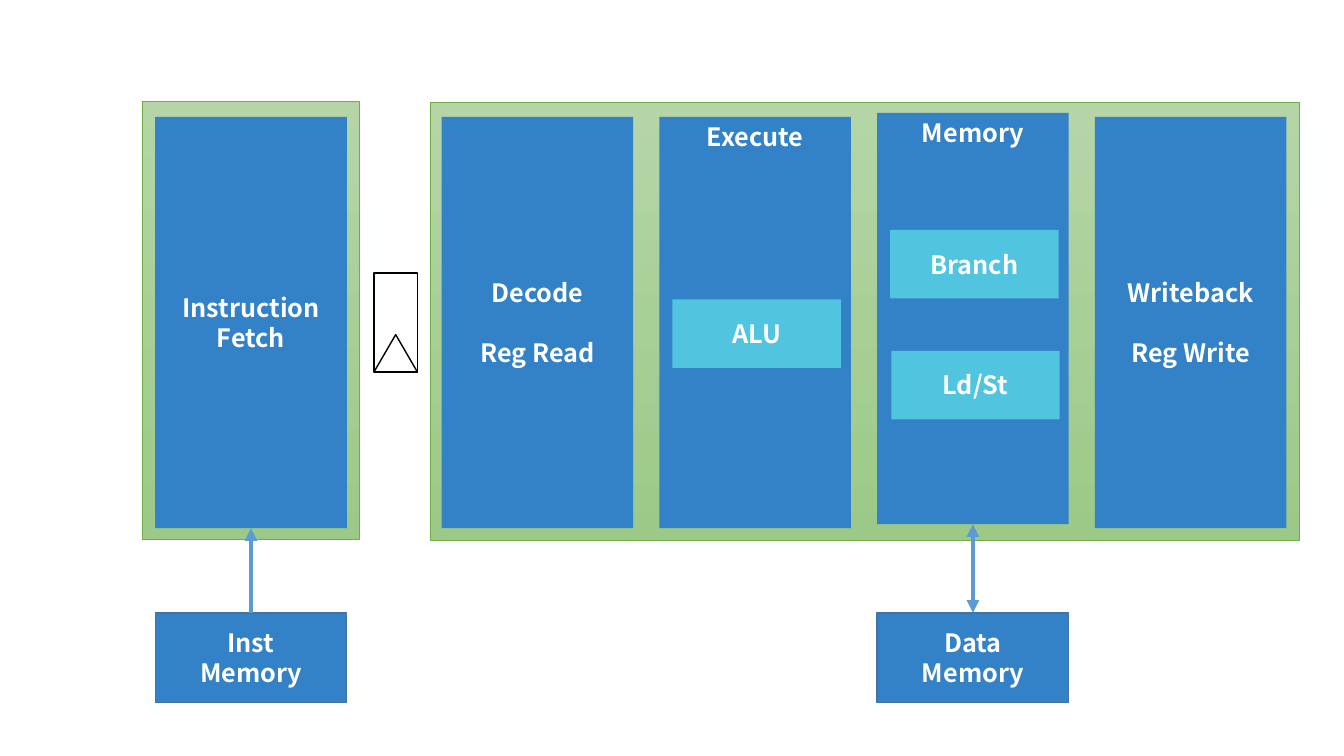
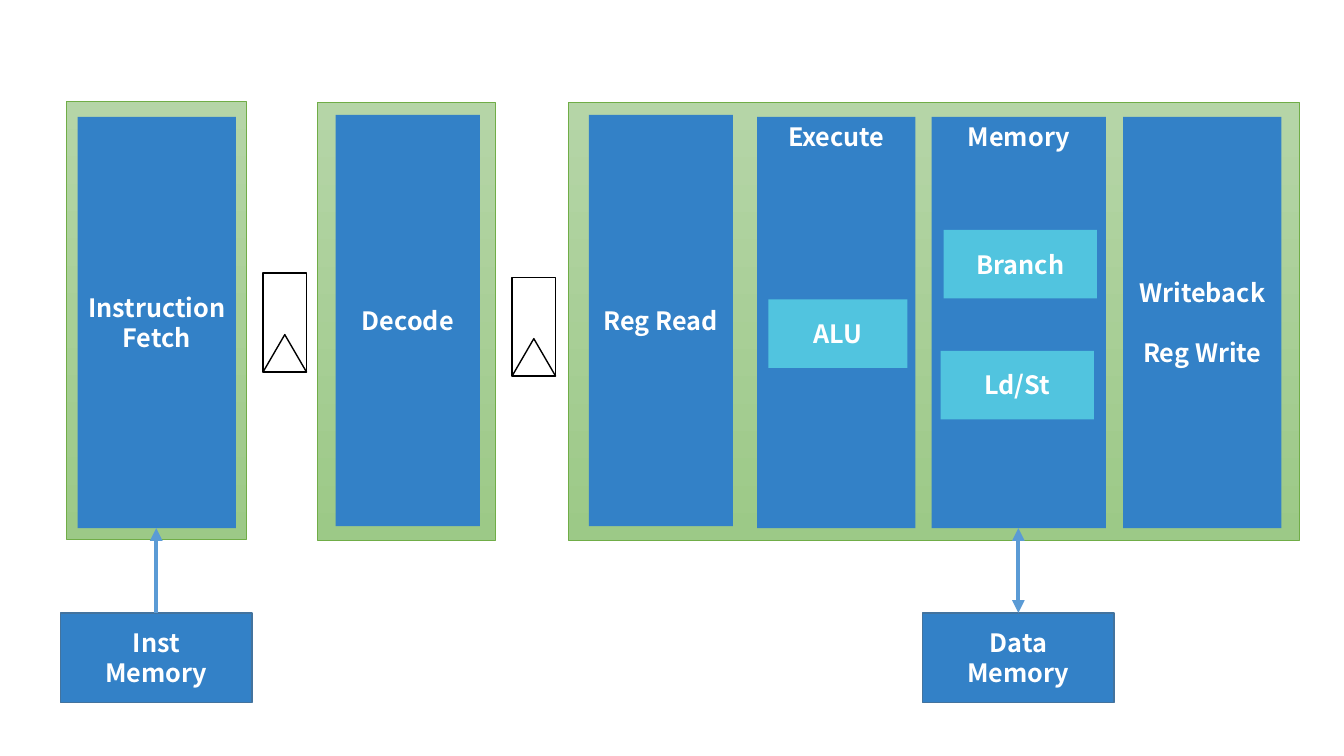
from dataclasses import dataclass
from pptx import Presentation, util as u
from pptx.dml.color import RGBColor
from pptx.enum import shapes as s, text as t
from pptx.oxml.ns import qn
from lxml import etree

# Shared look
WHITE = RGBColor(0xFF, 0xFF, 0xFF)
BLACK = RGBColor(0, 0, 0)
BLUE = RGBColor(0x33, 0x81, 0xC7)
NAVY = RGBColor(0x43, 0x73, 0x9E)
CYAN = RGBColor(0x51, 0xC4, 0xDF)
SKY = RGBColor(0x5B, 0x9B, 0xD5)
GREEN = RGBColor(0x70, 0xAD, 0x47)
PALE = RGBColor(0xB5, 0xD5, 0xA7)
LEAF = RGBColor(0x9C, 0xC9, 0x87)
FONT = "Noto Sans CJK KR"
SIZE = u.Pt(18)
LEAD = u.Pt(21.4)

# Shared heights and the row of memories
TALL = 4.08
FRAME = 4.34
UNIT = 0.68
MEM_Y, MEM_W, MEM_H = 6.08, 1.9, 0.89
REG_W, REG_H, TIP_H = 0.43, 0.98, 0.37


@dataclass
class Frame:
    x: float
    w: float
    y: float = 1.02


@dataclass
class Stage:
    x: float
    w: float
    words: str
    y: float = 1.16
    top: bool = False
    gap: bool = False


@dataclass
class Unit:
    x: float
    y: float
    w: float
    words: str


@dataclass
class Store:
    x: float
    words: str
    end: float
    both: bool = False


@dataclass
class Latch:
    x: float
    y: float = 2.71


@dataclass
class Design:
    frames: list[Frame]
    stages: list[Stage]
    latches: list[Latch]
    stores: list[Store]
    units: list[Unit]


def add_box(shapes, x: float, y: float, w: float, h: float, fill=None,
            line=None, width: float = 1, kind=s.MSO_SHAPE.RECTANGLE):
    box = shapes.add_shape(kind, *map(u.Inches, (x, y, w, h)))
    box.shadow.inherit = False
    if fill is not None:
        box.fill.solid()
        box.fill.fore_color.rgb = fill
    if line is None:
        box.line.fill.background()
    else:
        box.line.color.rgb = line
        box.line.width = u.Pt(width)
    return box


def add_words(box, words: str, top: bool = False, gap: bool = False) -> None:
    frame = box.text_frame
    frame.text = words
    frame.word_wrap = True
    frame.margin_left = frame.margin_right = u.Inches(0.05)
    frame.vertical_anchor = t.MSO_ANCHOR.TOP if top else t.MSO_ANCHOR.MIDDLE
    for i, para in enumerate(frame.paragraphs):
        para.alignment = t.PP_ALIGN.CENTER
        para.line_spacing = LEAD
        if gap and i:
            para.space_before = LEAD
        for run in para.runs:
            font = run.font
            font.name, font.size, font.bold = FONT, SIZE, True
            font.color.rgb = WHITE


def add_frame(shapes, item: Frame) -> None:
    box = add_box(shapes, item.x, item.y, item.w, FRAME, None, GREEN, 0.5)
    box.fill.gradient()
    box.fill.gradient_angle = 270
    for stop, hue in zip(box.fill.gradient_stops, (PALE, LEAF)):
        stop.color.rgb = hue


def add_latch(shapes, item: Latch) -> None:
    group = shapes.add_group_shape().shapes
    add_box(group, item.x, item.y, REG_W, REG_H, WHITE, BLACK)
    add_box(group, item.x, item.y + REG_H - TIP_H, REG_W, TIP_H,
            WHITE, BLACK, kind=s.MSO_SHAPE.ISOSCELES_TRIANGLE)


def add_arrow(shapes, x: float, start: float, end: float, both: bool) -> None:
    line = shapes.add_connector(
        s.MSO_CONNECTOR.STRAIGHT, *map(u.Inches, (x, start, x, end)))
    line.line.color.rgb = SKY
    line.line.width = u.Pt(3)
    props = line.element.spPr
    for tag in ("a:headEnd", "a:tailEnd") if both else ("a:tailEnd",):
        etree.SubElement(props.find(qn("a:ln")), qn(tag), type="triangle")
    etree.SubElement(props, qn("a:effectLst"))


def add_store(shapes, item: Store) -> None:
    box = add_box(shapes, item.x, MEM_Y, MEM_W, MEM_H, BLUE, NAVY)
    add_words(box, item.words)
    add_arrow(shapes, item.x + MEM_W / 2, MEM_Y, item.end, item.both)


def draw(deck, plan: Design) -> None:
    shapes = deck.slides.add_slide(deck.slide_layouts[6]).shapes
    for frame in plan.frames:
        add_frame(shapes, frame)
    for stage in plan.stages:
        box = add_box(shapes, stage.x, stage.y, stage.w, TALL, BLUE)
        add_words(box, stage.words, stage.top, stage.gap)
    for latch in plan.latches:
        add_latch(shapes, latch)
    for store in plan.stores:
        add_store(shapes, store)
    for unit in plan.units:
        box = add_box(shapes, unit.x, unit.y, unit.w, UNIT, CYAN)
        add_words(box, unit.words)


# Wording used on both slides
FETCH = "Instruction\nFetch"
WRITE = "Writeback\nReg Write"
INST = "Inst\nMemory"
DATA = "Data\nMemory"

# Two-stage pipeline: columns at an equal pitch
COL, PITCH = 1.9, 2.16
decode, execute, memory, write = (4.38 + PITCH * i for i in range(4))
TWO = Design(
    frames=[Frame(1.41, 2.16, 1.01), Frame(4.27, 8.62)],
    stages=[
        Stage(1.54, COL, FETCH),
        Stage(decode, COL, "Decode\nReg Read", gap=True),
        Stage(execute, COL, "Execute", top=True),
        Stage(memory, COL, "Memory", 1.12, top=True),
        Stage(write, COL, WRITE, gap=True),
    ],
    latches=[Latch(3.71)],
    stores=[Store(1.54, INST, 5.24), Store(memory, DATA, 5.2, True)],
    units=[
        Unit(6.67, 2.97, 1.67, "ALU"),
        Unit(8.83, 2.28, 1.67, "Branch"),
        Unit(8.84, 3.48, 1.67, "Ld/St"),
    ],
)

# Three-stage pipeline: decode stands apart from register read
THREE = Design(
    frames=[Frame(3.15, 1.76), Frame(0.66, 1.78, 1.01), Frame(5.64, 7.25)],
    stages=[
        Stage(0.77, 1.57, FETCH),
        Stage(3.33, 1.43, "Decode", 1.14),
        Stage(5.84, 1.43, "Reg Read", 1.14),
        Stage(7.51, 1.57, "Execute", top=True),
        Stage(9.24, 1.73, "Memory", top=True),
        Stage(11.14, 1.57, WRITE, gap=True),
    ],
    latches=[Latch(2.61), Latch(5.08, 2.75)],
    stores=[Store(0.6, INST, 5.24), Store(9.15, DATA, 5.24, True)],
    units=[
        Unit(7.62, 2.97, 1.38, "ALU"),
        Unit(9.36, 2.28, 1.52, "Branch"),
        Unit(9.33, 3.48, 1.52, "Ld/St"),
    ],
)

deck = Presentation()
deck.slide_width, deck.slide_height = u.Inches(13.33), u.Inches(7.5)
for plan in (TWO, THREE):
    draw(deck, plan)
deck.save("out.pptx")
